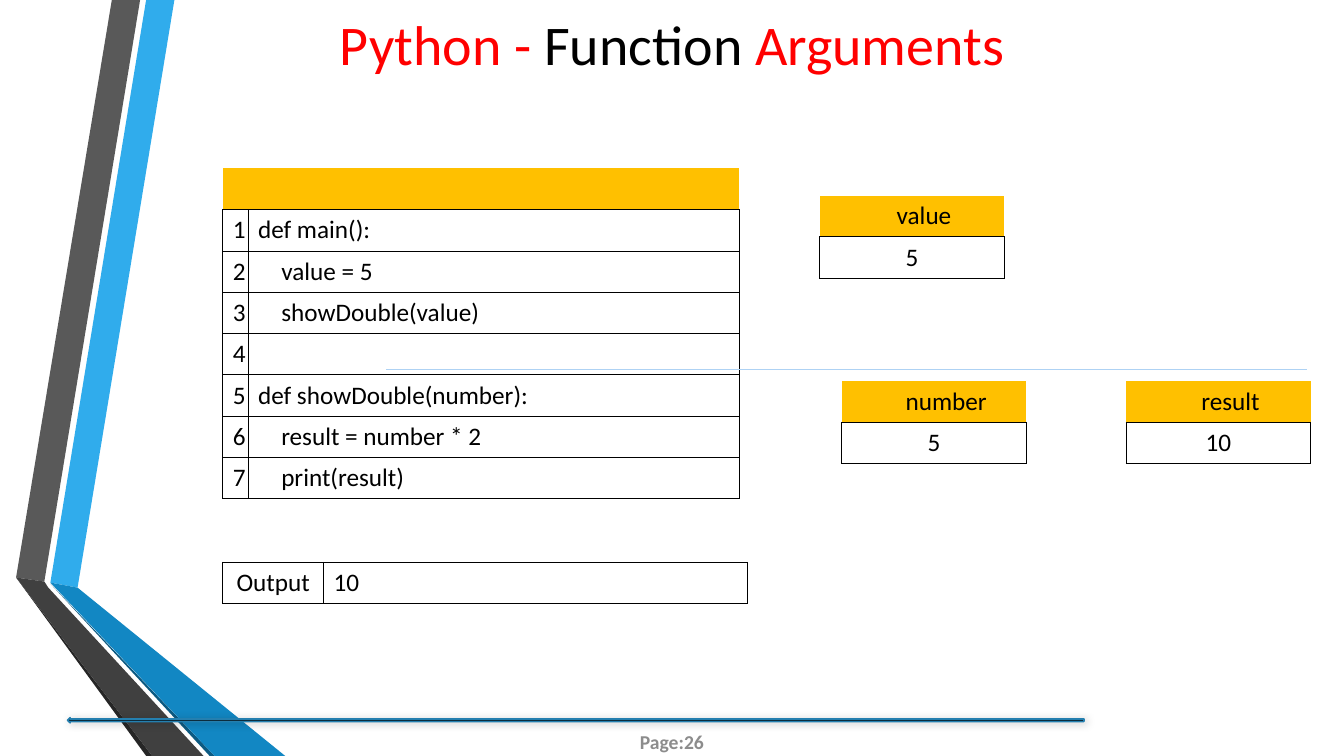
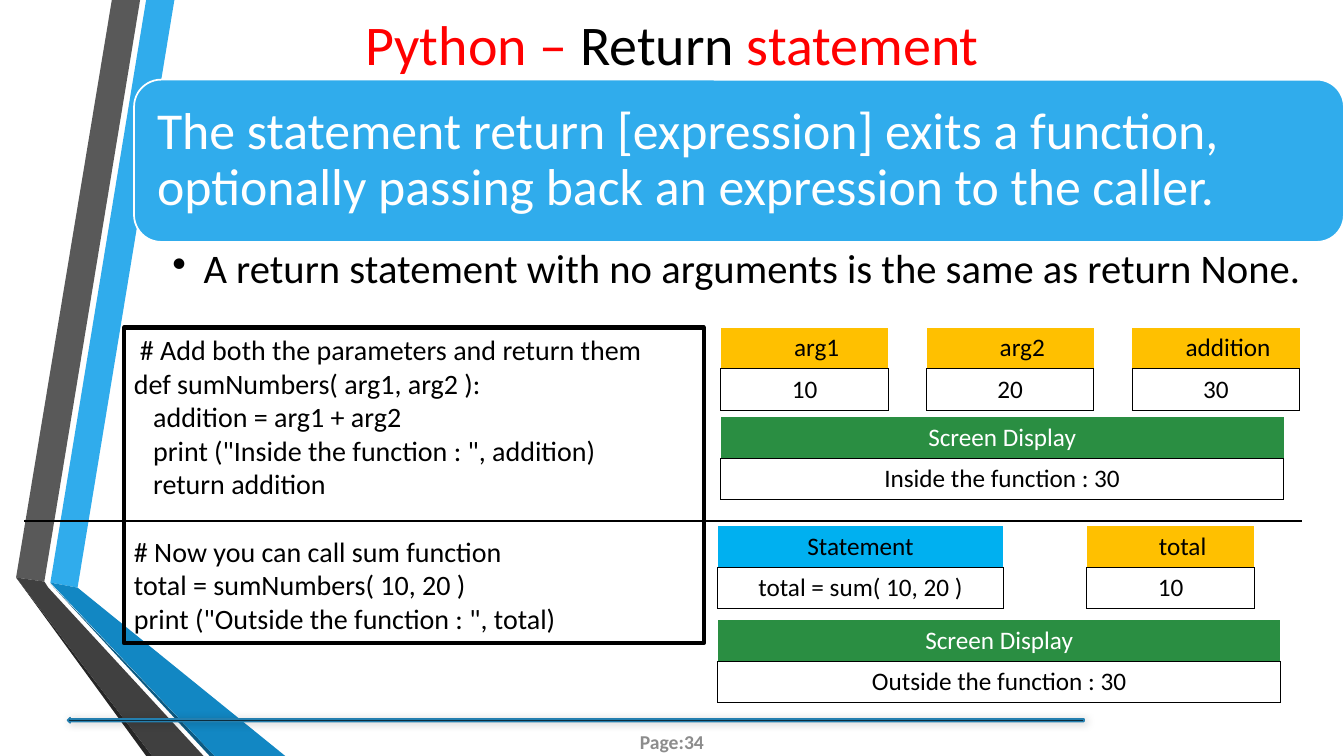
from dataclasses import dataclass
from typing import Any

import pptx
import pptx.dml.color
import pptx.enum.shapes
import pptx.enum.text
import pptx.oxml
import pptx.oxml.ns
import pptx.util

Inches, Pt = pptx.util.Inches, pptx.util.Pt
ALIGN = pptx.enum.text.PP_ALIGN
MIDDLE = pptx.enum.text.MSO_ANCHOR.MIDDLE
SHAPE = pptx.enum.shapes.MSO_SHAPE
NS = pptx.oxml.ns.nsdecls("a")
qn = pptx.oxml.ns.qn
PLAIN_TABLE = "{2D5ABB26-0587-4C30-8999-92F81FD0307C}"


@dataclass(frozen=True)
class Theme:
    font: str = "Calibri"
    black: str = "000000"
    white: str = "FFFFFF"
    red: str = "FF0000"
    grey: str = "8C8C8C"
    blue: str = "30ACEC"
    cyan: str = "00B0F0"
    amber: str = "FFC000"
    green: str = "2A8E42"
    pale: str = "AED2F4"
    footer_line: str = "247FAF"
    title: int = 40
    banner: int = 37
    bullet: int = 29
    code: int = 20
    cell: int = 18
    footer: int = 14
    row: float = 0.41
    gutter: float = 0.23


T = Theme()

RIBBONS = [
    (T.blue, [(0.5, 5.78), (0.77, 5.83), (1.73, 0), (1.45, 0)]),
    ("595959", [(1.39, 0), (1.11, 0), (0.16, 5.73), (0.44, 5.77)]),
    ("262626", [(0.16, 5.73), (1.45, 7.5), (1.51, 7.5)]),
    ("0C5A82", [(0.5, 5.79), (2.08, 7.5), (2.13, 7.5)]),
    ("1287C3", [(0.5, 5.78), (2.13, 7.5), (2.83, 7.5), (0.77, 5.83)]),
    ("404040", [(0.16, 5.73), (1.51, 7.5), (2.02, 7.5), (0.48, 5.83), (0.44, 5.77)]),
]


def rgb(colour):
    return pptx.dml.color.RGBColor.from_string(colour)


def inches(*lengths):
    return [Inches(n) for n in lengths]


@dataclass
class Deck:
    """Draws in the theme's style on the current slide."""
    prs: Any
    s: Any = None

    def slide(self, title, page):
        """Start a slide; title is a list of (text, colour) runs."""
        self.s = self.prs.slides.add_slide(self.prs.slide_layouts[5])
        for colour, points in RIBBONS:
            self.ribbon(colour, points)
        tf = self.text_box(5.78, 7.16, 1.77, 0.4, (0.04, 0.02, 0.04, 0.02))
        tf.vertical_anchor = MIDDLE
        p = tf.paragraphs[0]
        p.alignment = ALIGN.CENTER
        self.run(p, f"Page:{page}", T.footer, T.grey, bold=True)
        self.footer_arrow()

        sp = self.s.shapes.title
        sp.left, sp.top, sp.width, sp.height = inches(0, 0, 13.33, 0.86)
        tf = sp.text_frame
        tf.auto_size = pptx.enum.text.MSO_AUTO_SIZE.NONE
        tf.vertical_anchor = MIDDLE
        p = tf.paragraphs[0]
        p.alignment = ALIGN.CENTER
        for text, colour in title:
            self.run(p, text, T.title, colour)

    def run(self, p, text, size, colour, bold=False):
        r = p.add_run()
        r.text = text
        r.font.name = T.font
        r.font.size = Pt(size)
        r.font.bold = bold
        r.font.color.rgb = rgb(colour)

    def indent(self, p, left, first=0):
        pPr = p._p.get_or_add_pPr()
        pPr.set("marL", str(Inches(left)))
        pPr.set("indent", str(Inches(first)))
        return pPr

    def frame(self, sp, insets):
        tf = sp.text_frame
        tf.word_wrap = True
        (tf.margin_left, tf.margin_top,
         tf.margin_right, tf.margin_bottom) = inches(*insets)
        return tf

    def text_box(self, x, y, w, h, insets):
        return self.frame(self.s.shapes.add_textbox(*inches(x, y, w, h)), insets)

    def paint(self, sp, fill=None, line=None, width=1.25):
        sp.shadow.inherit = False
        for part, colour in ((sp.fill, fill), (sp.line.fill, line)):
            if colour:
                part.solid()
                part.fore_color.rgb = rgb(colour)
            else:
                part.background()
        if line:
            sp.line.width = Pt(width)

    def shape(self, kind, x, y, w, h, **style):
        sp = self.s.shapes.add_shape(kind, *inches(x, y, w, h))
        self.paint(sp, **style)
        return sp

    def ribbon(self, colour, points):
        start, *rest = [inches(*point) for point in points]
        outline = self.s.shapes.build_freeform(*start)
        outline.add_line_segments(rest)
        self.paint(outline.convert_to_shape(), fill=colour)

    def footer_arrow(self):
        sp = self.shape(SHAPE.LEFT_ARROW, 0.67, 7.12, 10.08, 0.05,
                        fill=T.black, line=T.footer_line)
        sp._element.spPr.find(qn("a:effectLst")).append(pptx.oxml.parse_xml(
            f'<a:outerShdw {NS} blurRad="{Pt(6)}" dist="{Pt(1)}" dir="2700000">'
            f'<a:srgbClr val="{T.black}"><a:alpha val="20000"/></a:srgbClr>'
            '</a:outerShdw>'))

    def rule(self, x1, x2, y, colour, width):
        line = self.s.shapes.add_connector(
            pptx.enum.shapes.MSO_CONNECTOR.STRAIGHT, *inches(x1, y, x2, y))
        line.line.color.rgb = rgb(colour)
        line.line.width = Pt(width)
        line._element.spPr.append(pptx.oxml.parse_xml(f"<a:effectLst {NS}/>"))

    def banner(self, x, y, w, h, text):
        sp = self.shape(SHAPE.ROUNDED_RECTANGLE, x, y, w, h, fill=T.blue, line=T.white)
        tf = self.frame(sp, [0.15] * 4)
        tf.vertical_anchor = MIDDLE
        p = tf.paragraphs[0]
        p.alignment = ALIGN.LEFT
        p.line_spacing = 0.9
        self.run(p, text, T.banner, T.white)

    def bullet(self, x, y, w, h, text):
        p = self.text_box(x, y, w, h, (0.38, 0.05, 0.29, 0.05)).paragraphs[0]
        p.line_spacing = 0.9
        self.indent(p, 0.31, -0.31).append(
            pptx.oxml.parse_xml(f'<a:buChar {NS} char="•"/>'))
        self.run(p, text, T.bullet, T.black)

    def code_box(self, x, y, w, h, lines):
        """Framed code; lines are (text, indent in inches, points above)."""
        sp = self.shape(SHAPE.RECTANGLE, x, y, w, h, line=T.black, width=3)
        tf = self.frame(sp, (0.1, 0.05, 0.1, 0.05))
        tf.vertical_anchor = pptx.enum.text.MSO_ANCHOR.TOP
        for i, (text, left, above) in enumerate(lines):
            p = tf.add_paragraph() if i else tf.paragraphs[0]
            p.alignment = ALIGN.LEFT
            p.space_before = Pt(above)
            self.indent(p, left)
            self.run(p, text, T.code, T.black)

    def table(self, x, y, widths, rows):
        table = self.s.shapes.add_table(
            rows, len(widths), *inches(x, y, sum(widths), rows * T.row)).table
        table.first_row = table.horz_banding = False
        table._tbl.tblPr.find(qn("a:tableStyleId")).text = PLAIN_TABLE
        for column, width in zip(table.columns, widths):
            column.width = Inches(width)
        for row in table.rows:
            row.height = Inches(T.row)
        return table

    def cell(self, cell, text="", align=ALIGN.LEFT, colour=T.black, fill=None,
             sides="LRTB", border=0.75, left=0):
        tcPr = cell._tc.get_or_add_tcPr()
        for side in sides:
            tcPr.append(pptx.oxml.parse_xml(
                f'<a:ln{side} {NS} w="{Pt(border)}"><a:solidFill>'
                f'<a:srgbClr val="{T.black}"/></a:solidFill></a:ln{side}>'))
        if fill:
            cell.fill.solid()
            cell.fill.fore_color.rgb = rgb(fill)
        else:
            cell.fill.background()
        cell.vertical_anchor = MIDDLE
        p = cell.text_frame.paragraphs[0]
        p.alignment = align
        if text:
            self.indent(p, left)
            self.run(p, text, T.cell, colour)

    def listing(self, x, y, widths, lines):
        """Numbered code table; lines are (text, indent in inches)."""
        table = self.table(x, y, widths, len(lines) + 1)
        for cell in table.rows[0].cells:
            self.cell(cell, fill=T.amber, sides="B")
        for n, (text, left) in enumerate(lines, 1):
            self.cell(table.cell(n, 0), str(n))
            self.cell(table.cell(n, 1), text, left=left)

    def output(self, x, y, widths, text):
        table = self.table(x, y, widths, 1)
        self.cell(table.cell(0, 0), "Output", ALIGN.CENTER, border=1)
        self.cell(table.cell(0, 1), text, border=1)

    def panel(self, x, y, w, label, value, fill, colour=T.black):
        table = self.table(x, y, [w], 2)
        self.cell(table.cell(0, 0), label, ALIGN.CENTER, colour, fill, sides="B")
        self.cell(table.cell(1, 0), value, ALIGN.CENTER)

    def variable(self, x, y, w, name, value):
        """A named value, its name centred right of a narrow gutter."""
        table = self.table(x, y, [T.gutter, w - T.gutter], 2)
        table.cell(1, 0).merge(table.cell(1, 1))
        for column, (label, content) in enumerate((("", value), (name, ""))):
            self.cell(table.cell(0, column), label, ALIGN.CENTER, fill=T.amber, sides="B")
            self.cell(table.cell(1, column), content, ALIGN.CENTER)

    def screen(self, x, y, text):
        self.panel(x, y, 5.58, "Screen Display", text, T.green, T.white)


def arguments_slide(deck):
    deck.slide([("Python - ", T.red), ("Function ", T.black), ("Arguments", T.red)], 26)
    step = 0.23
    deck.listing(2.21, 1.67, [0.25, 4.87], [
        ("def main():", 0),
        ("value = 5", step),
        ("showDouble(value)", step),
        ("", 0),
        ("def showDouble(number):", 0),
        ("result = number * 2", step),
        ("print(result)", step),
    ])
    deck.output(2.21, 5.58, [1, 4.2], "10")
    deck.rule(3.83, 12.96, 3.67, T.pale, 0.75)
    for x, y, name, value in ((8.13, 1.94, "value", "5"),
                              (8.35, 3.78, "number", "5"),
                              (11.17, 3.78, "result", "10")):
        deck.variable(x, y, 1.82, name, value)


def return_slide(deck):
    deck.slide([("Python – ", T.red), ("Return", T.black), (" statement", T.red)], 34)
    deck.banner(1.33, 0.79, 12, 1.61,
                "The statement return [expression] exits a function, "
                "optionally passing back an expression to the caller.")
    deck.bullet(1.33, 2.42, 12, 0.67,
                "A return statement with no arguments is the same as return None.")
    step = 0.19
    deck.code_box(1.23, 3.25, 5.75, 3.13, [
        ("# Add both the parameters and return them", 0.06, 0),
        ("def sumNumbers( arg1, arg2 ):", 0, 0),
        ("addition = arg1 + arg2", step, 0),
        ('print ("Inside the function : ", addition)', step, 0),
        ("return addition", step, 0),
        ("# Now you can call sum function", 0, 24),
        ("total = sumNumbers( 10, 20 )", 0, 0),
        ('print ("Outside the function : ", total)', 0, 0),
    ])
    for i, (name, value) in enumerate((("arg1", "10"), ("arg2", "20"), ("addition", "30"))):
        deck.variable(7.15 + i * 2.04, 3.25, 1.65, name, value)
    deck.screen(7.15, 4.14, "Inside the function : 30")
    deck.rule(0.24, 12.91, 5.17, T.black, 1.75)
    deck.panel(7.12, 5.22, 2.83, "Statement", "total = sum( 10, 20 )", T.cyan)
    deck.variable(10.78, 5.22, 1.65, "total", "10")
    deck.screen(7.12, 6.15, "Outside the function : 30")


def main():
    prs = pptx.Presentation()
    prs.slide_width, prs.slide_height = inches(13.33, 7.5)
    deck = Deck(prs)
    arguments_slide(deck)
    return_slide(deck)
    prs.save("out.pptx")


if __name__ == "__main__":
    main()
